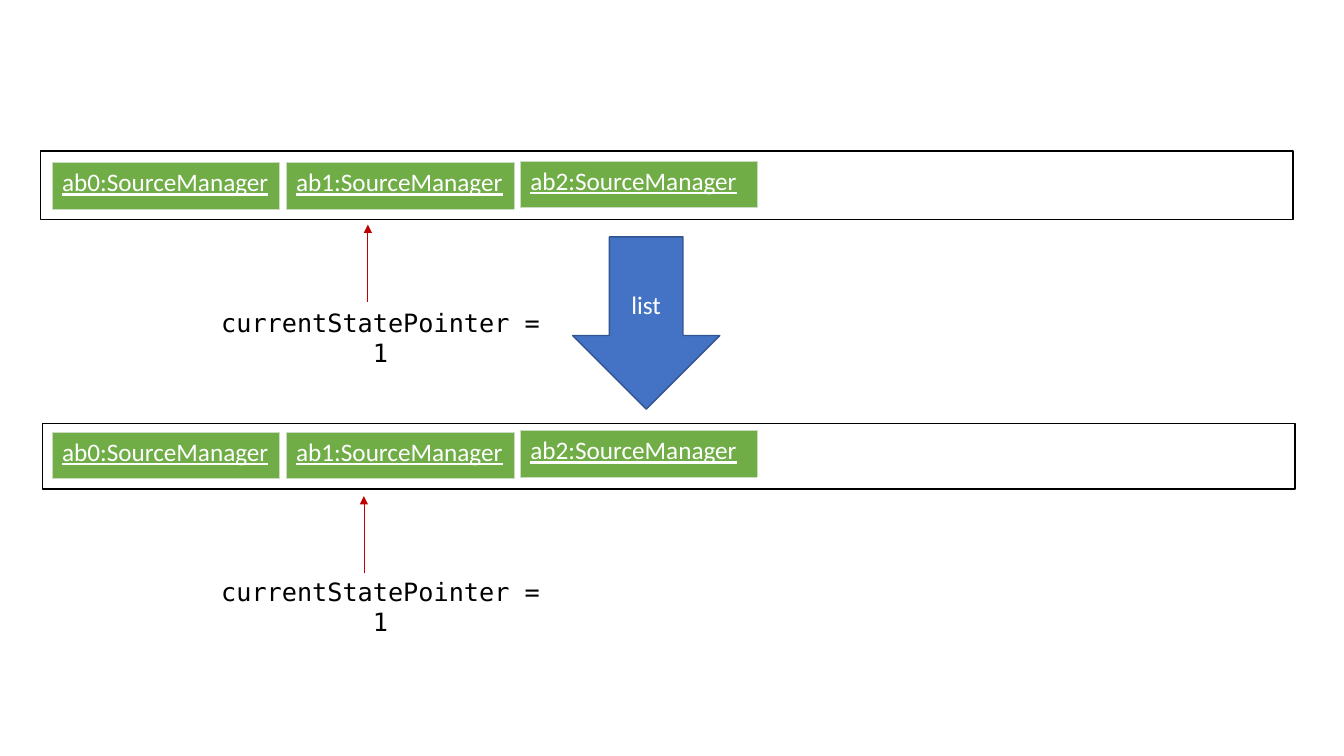
import pptx
import pptx.util
import pptx.dml.color
import pptx.enum.shapes
import pptx.enum.text
import pptx.oxml
import pptx.oxml.ns

Cm, Pt = pptx.util.Cm, pptx.util.Pt
RGB = pptx.dml.color.RGBColor
SHAPE = pptx.enum.shapes.MSO_SHAPE
ALIGN = pptx.enum.text.PP_ALIGN
ANCHOR = pptx.enum.text.MSO_ANCHOR

WHITE = RGB(0xFF, 0xFF, 0xFF)
BLACK = RGB(0, 0, 0)
GREEN = RGB(0x70, 0xAD, 0x47)
PALE = RGB(0xC9, 0xDB, 0xC1)
BLUE = RGB(0x44, 0x72, 0xC4)
NAVY = RGB(0x32, 0x54, 0x91)
RED = RGB(0xC0, 0, 0)

# All lengths are in centimetres.
STATES = ["ab0:SourceManager", "ab1:SourceManager", "ab2:SourceManager"]
WIDTHS = [5.74, 5.74, 5.97]
LABEL = "currentStatePointer = 1"
ACTION = "list"
LISTS = [
    {"bar": (1.02, 3.81, 31.57, 1.73), "tops": (4.1, 4.1, 4.06),
     "tip": (9.27, 5.66), "label": 7.62},
    {"bar": (1.07, 10.67, 31.57, 1.65), "tops": (10.89, 10.89, 10.85),
     "tip": (9.17, 12.5), "label": 14.4},
]
LEFT, STEP, HEIGHT = 1.31, 5.9, 1.17
STEM = 1.95


def write(frame, text, font="Calibri", color=WHITE, under=False, align=ALIGN.CENTER):
    """Put one formatted paragraph into a text frame."""
    para = frame.paragraphs[0]
    para.alignment = align
    run = para.add_run()
    run.text = text
    run.font.name = font
    run.font.size = Pt(18)
    run.font.bold = False
    run.font.underline = under
    run.font.color.rgb = color


def block(slide, kind, box, fill, line):
    """Add a preset shape with a one-point outline."""
    shape = slide.shapes.add_shape(kind, *map(Cm, box))
    shape.shadow.inherit = False
    if fill is None:
        shape.fill.background()
    else:
        shape.fill.solid()
        shape.fill.fore_color.rgb = fill
    shape.line.color.rgb = line
    shape.line.width = Pt(1)
    return shape


def edge(cell):
    """Draw thin pale borders round a cell."""
    props = cell._tc.get_or_add_tcPr()
    for spot, side in enumerate(("lnL", "lnR", "lnT", "lnB")):
        props.insert(spot, pptx.oxml.parse_xml(
            f'<a:{side} {pptx.oxml.ns.nsdecls("a")} w="6350"><a:solidFill>'
            f'<a:srgbClr val="{PALE}"/></a:solidFill></a:{side}>'))


def card(slide, text, left, top, width):
    """Add a one-cell table that names a state."""
    table = slide.shapes.add_table(
        1, 1, Cm(left), Cm(top), Cm(width), Cm(HEIGHT)).table
    cell = table.cell(0, 0)
    cell.fill.solid()
    cell.fill.fore_color.rgb = GREEN
    edge(cell)
    write(cell.text_frame, text, under=True, align=ALIGN.LEFT)


def point(slide, x, y):
    """Add a red arrow that rises to the given tip."""
    arrow = slide.shapes.add_connector(
        pptx.enum.shapes.MSO_CONNECTOR.STRAIGHT, Cm(x), Cm(y + STEM), Cm(x), Cm(y))
    arrow.line.color.rgb = RED
    arrow.line.width = Pt(0.5)
    space = pptx.oxml.ns.nsdecls("a")
    arrow.line._get_or_add_ln().append(
        pptx.oxml.parse_xml(f'<a:tailEnd {space} type="triangle"/>'))
    arrow._element.spPr.append(pptx.oxml.parse_xml(f"<a:effectLst {space}/>"))


def label(slide, top):
    """Add the pointer's value below its arrow."""
    box = slide.shapes.add_textbox(Cm(5.13), Cm(top), Cm(8.92), Cm(1.02))
    frame = box.text_frame
    frame.word_wrap = True
    frame.auto_size = pptx.enum.text.MSO_AUTO_SIZE.SHAPE_TO_FIT_TEXT
    write(frame, LABEL, font="DejaVu Sans Mono", color=BLACK)


def main():
    """Build and save the slide."""
    deck = pptx.Presentation()
    deck.slide_width, deck.slide_height = Cm(33.87), Cm(19.05)
    slide = deck.slides.add_slide(deck.slide_layouts[6])

    down = block(slide, SHAPE.DOWN_ARROW, (14.43, 5.97, 3.71, 4.34), BLUE, NAVY)
    down.text_frame.vertical_anchor = ANCHOR.MIDDLE
    write(down.text_frame, ACTION)

    for part in LISTS:
        block(slide, SHAPE.RECTANGLE, part["bar"], None, BLACK)
        for spot, (text, width, top) in enumerate(zip(STATES, WIDTHS, part["tops"])):
            card(slide, text, LEFT + spot * STEP, top, width)
        point(slide, *part["tip"])
        label(slide, part["label"])

    deck.save("out.pptx")


main()
